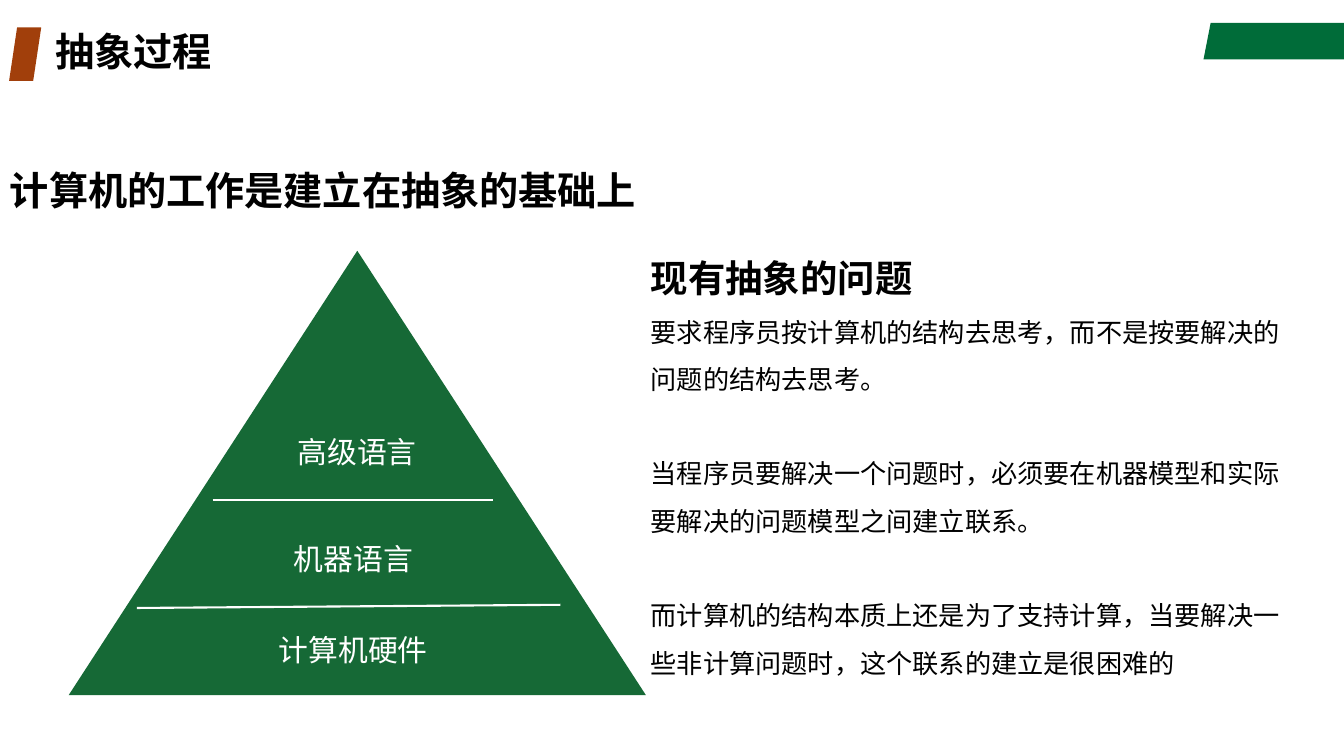
from pptx import Presentation
from pptx import util as u
from pptx.dml.color import RGBColor
from pptx.enum import shapes, text
from pptx.oxml.ns import qn
from lxml import etree

FONT = "Noto Sans CJK SC"
BLACK = RGBColor(0x00, 0x00, 0x00)
WHITE = RGBColor(0xFF, 0xFF, 0xFF)
BANNER_GREEN = RGBColor(0x00, 0x6C, 0x39)
PYRAMID_GREEN = RGBColor(0x16, 0x69, 0x36)
RUST = RGBColor(0xA1, 0x3F, 0x0B)


def paint(shape, color):
    shape.shadow.inherit = False
    shape.fill.solid()
    shape.fill.fore_color.rgb = color
    shape.line.fill.background()


def style_paragraph(para, size, color=BLACK, bold=False):
    """Format every run, with the same typeface for Latin and East Asian text."""
    for span in para.runs:
        span.font.name = FONT
        span.font.size = u.Pt(size)
        span.font.bold = bold
        span.font.color.rgb = color
        east_asian = etree.SubElement(span.font._element, qn("a:ea"))
        east_asian.set("typeface", FONT)


deck = Presentation()
deck.slide_width = u.Cm(33.87)
deck.slide_height = u.Cm(19.05)
page = deck.slides.add_slide(deck.slide_layouts[6])

# Header decoration
outline = page.shapes.build_freeform(u.Cm(30.51), u.Cm(0.58))
outline.add_line_segments(
    [(u.Cm(x), u.Cm(y)) for x, y in [(33.87, 0.58), (33.87, 1.5), (30.33, 1.5)]]
)
paint(outline.convert_to_shape(), BANNER_GREEN)
marker = page.shapes.add_shape(
    shapes.MSO_SHAPE.PARALLELOGRAM, u.Cm(0.23), u.Cm(0.69), u.Cm(0.81), u.Cm(1.35)
)
paint(marker, RUST)

# Title and statement
headings = [
    ("抽象过程", (1.14, 0.69, 24, 1.35), text.MSO_ANCHOR.MIDDLE, 0.9),
    ("计算机的工作是建立在抽象的基础上", (0, 3.73, 18.14, 2), text.MSO_ANCHOR.TOP, u.Pt(43)),
]
for words, place, anchor, spacing in headings:
    box = page.shapes.add_textbox(*[u.Cm(length) for length in place])
    box.text_frame.word_wrap = True
    box.text_frame.vertical_anchor = anchor
    box.text_frame.text = words
    para = box.text_frame.paragraphs[0]
    para.line_spacing = spacing
    style_paragraph(para, 28, bold=True)

# Pyramid of abstraction layers
pyramid = page.shapes.add_shape(
    shapes.MSO_SHAPE.ISOSCELES_TRIANGLE, u.Cm(1.73), u.Cm(6.32), u.Cm(14.55), u.Cm(11.2)
)
paint(pyramid, PYRAMID_GREEN)
layers = [
    ("计算机硬件", 5.97, 15.42, 5.87),
    ("机器语言", 5.97, 13.13, 5.87),
    ("高级语言", 6.48, 10.44, 5.05),
]
for words, left, top, width in layers:
    layer = page.shapes.add_shape(
        shapes.MSO_SHAPE.RECTANGLE, u.Cm(left), u.Cm(top), u.Cm(width), u.Cm(1.88)
    )
    paint(layer, PYRAMID_GREEN)
    layer.text_frame.vertical_anchor = text.MSO_ANCHOR.MIDDLE
    layer.text_frame.text = words
    para = layer.text_frame.paragraphs[0]
    para.alignment = text.PP_ALIGN.CENTER
    style_paragraph(para, 21.3, WHITE)

for ends in [(5.36, 12.6, 12.42, 12.6), (3.45, 15.32, 14.12, 15.24)]:
    divider = page.shapes.add_connector(
        shapes.MSO_CONNECTOR.STRAIGHT, *[u.Cm(length) for length in ends]
    )
    divider.line.color.rgb = WHITE
    divider.line.width = u.Pt(1.5)
    etree.SubElement(divider._element.spPr, qn("a:effectLst"))

# Problems of existing abstractions
problems = [
    "现有抽象的问题",
    "要求程序员按计算机的结构去思考，而不是按要解决的问题的结构去思考。",
    "当程序员要解决一个问题时，必须要在机器模型和实际要解决的问题模型之间建立联系。",
    "而计算机的结构本质上还是为了支持计算，当要解决一些非计算问题时，这个联系的建立是很困难的",
]
box = page.shapes.add_textbox(u.Cm(16.15), u.Cm(5.73), u.Cm(16.94), u.Cm(11.4))
box.text_frame.word_wrap = True
box.text_frame.text = "\n".join(problems)
for index, para in enumerate(box.text_frame.paragraphs):
    is_heading = index == 0
    para.line_spacing = u.Pt(48.3 if is_heading else 33.8)
    if index > 1:
        para.space_before = u.Pt(33.8)
    style_paragraph(para, 26.7 if is_heading else 18.7, bold=is_heading)

deck.save("out.pptx")
